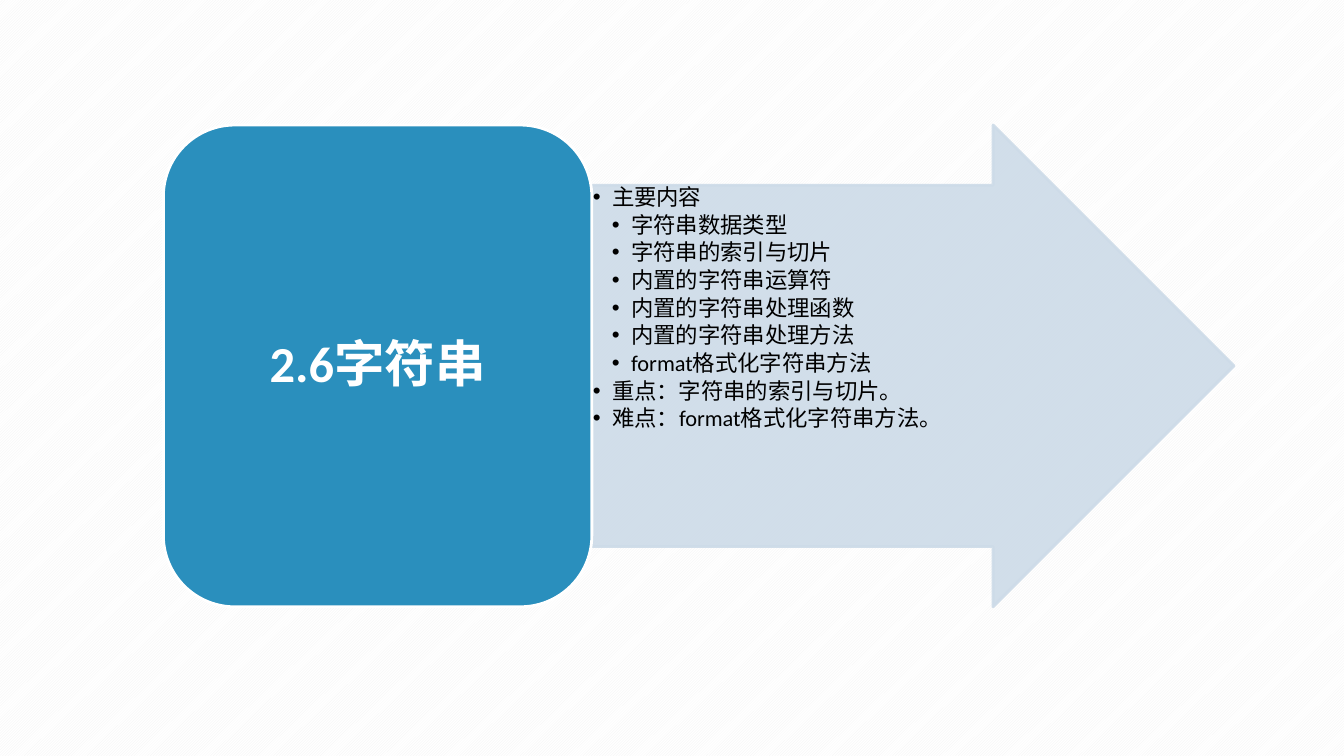
from lxml.etree import SubElement
from pptx import Presentation
from pptx.dml.color import RGBColor
from pptx.enum.dml import MSO_PATTERN
from pptx.enum.shapes import MSO_SHAPE
from pptx.enum.text import MSO_ANCHOR, MSO_AUTO_SIZE, PP_ALIGN
from pptx.oxml.ns import qn
from pptx.util import Inches, Pt

HEADING = "2.6字符串"
OUTLINE = [
    (0, "主要内容"),
    (1, "字符串数据类型"),
    (1, "字符串的索引与切片"),
    (1, "内置的字符串运算符"),
    (1, "内置的字符串处理函数"),
    (1, "内置的字符串处理方法"),
    (1, "format格式化字符串方法"),
    (0, "重点：字符串的索引与切片。"),
    (0, "难点：format格式化字符串方法。"),
]
COLORS = {"stripe": "F2F2F2", "white": "FFFFFF", "arrow": "CDDBE8",
          "card": "2A8FBD", "black": "000000"}
FONT = "Calibri"

TOP, HEIGHT = 1.24, 4.78
CARD_LEFT, CARD_WIDTH = 1.62, 4.25
ARROW_LEFT, ARROW_WIDTH = CARD_LEFT + CARD_WIDTH, 6.37
SHAFT, HEAD = 0.75, 0.5
CARD_INSET = 0.21
INDENT = 0.19
ITEM_GAP = 2.5
ARROW_OPACITY = 90


def color(name):
    return RGBColor.from_string(COLORS[name])


def add_panel(preset, left, width, fill, line):
    panel = slide.shapes.add_shape(preset, Inches(left), Inches(TOP),
                                   Inches(width), Inches(HEIGHT))
    panel.shadow.inherit = False
    panel.fill.solid()
    panel.fill.fore_color.rgb = color(fill)
    panel.line.color.rgb = color(line)
    panel.line.width = Pt(2)
    return panel


def place_text(placeholder, box, margins, anchor):
    """Put a placeholder above the panels and return its text frame."""
    placeholder.left, placeholder.top, placeholder.width, placeholder.height = map(Inches, box)
    slide.shapes.element.append(placeholder.element)
    frame = placeholder.text_frame
    frame.auto_size = MSO_AUTO_SIZE.NONE
    frame.word_wrap = True
    frame.vertical_anchor = anchor
    frame.margin_left = frame.margin_right = Inches(margins[0])
    frame.margin_top = frame.margin_bottom = Inches(margins[1])
    return frame


def write(paragraph, text, size, ink, bold=False, gap=0):
    paragraph.line_spacing = 0.9
    paragraph.space_before = Pt(0)
    paragraph.space_after = Pt(gap)
    run = paragraph.add_run()
    run.text = text
    run.font.name = FONT
    run.font.size = Pt(size)
    run.font.bold = bold
    run.font.color.rgb = color(ink)


def add_bullet(paragraph, level):
    paragraph.level = level
    properties = paragraph._p.get_or_add_pPr()
    properties.set("marL", str(Inches(INDENT * (level + 1))))
    properties.set("indent", str(-Inches(INDENT)))
    SubElement(properties, qn("a:buChar")).set("char", "•")


prs = Presentation()
prs.slide_width, prs.slide_height = Inches(13.33), Inches(7.5)
slide = prs.slides.add_slide(prs.slide_layouts[1])
background = slide.background.fill
background.patterned()
background.pattern = MSO_PATTERN.LIGHT_UPWARD_DIAGONAL
background.fore_color.rgb = color("stripe")
background.back_color.rgb = color("white")

arrow = add_panel(MSO_SHAPE.RIGHT_ARROW, ARROW_LEFT, ARROW_WIDTH, "arrow", "arrow")
arrow.adjustments[0], arrow.adjustments[1] = SHAFT, HEAD
for tint in arrow.element.spPr.iter(qn("a:srgbClr")):
    SubElement(tint, qn("a:alpha")).set("val", str(ARROW_OPACITY * 1000))
add_panel(MSO_SHAPE.ROUNDED_RECTANGLE, CARD_LEFT, CARD_WIDTH, "card", "white")

shaft_top = TOP + HEIGHT * (1 - SHAFT) / 2
text_width = ARROW_WIDTH - HEIGHT * HEAD * SHAFT
outline = place_text(slide.placeholders[1],
                     (ARROW_LEFT, shaft_top, text_width, HEIGHT * SHAFT),
                     (0.01, 0.01), MSO_ANCHOR.TOP)
for index, (level, text) in enumerate(OUTLINE):
    item = outline.add_paragraph() if index else outline.paragraphs[0]
    write(item, text, 16, "black", gap=ITEM_GAP)
    add_bullet(item, level)

heading = place_text(slide.shapes.title,
                     (CARD_LEFT + CARD_INSET, TOP + CARD_INSET,
                      CARD_WIDTH - 2 * CARD_INSET, HEIGHT - 2 * CARD_INSET),
                     (0.15, 0.07), MSO_ANCHOR.MIDDLE)
heading.paragraphs[0].alignment = PP_ALIGN.CENTER
write(heading.paragraphs[0], HEADING, 36, "white", bold=True)

prs.save("out.pptx")
